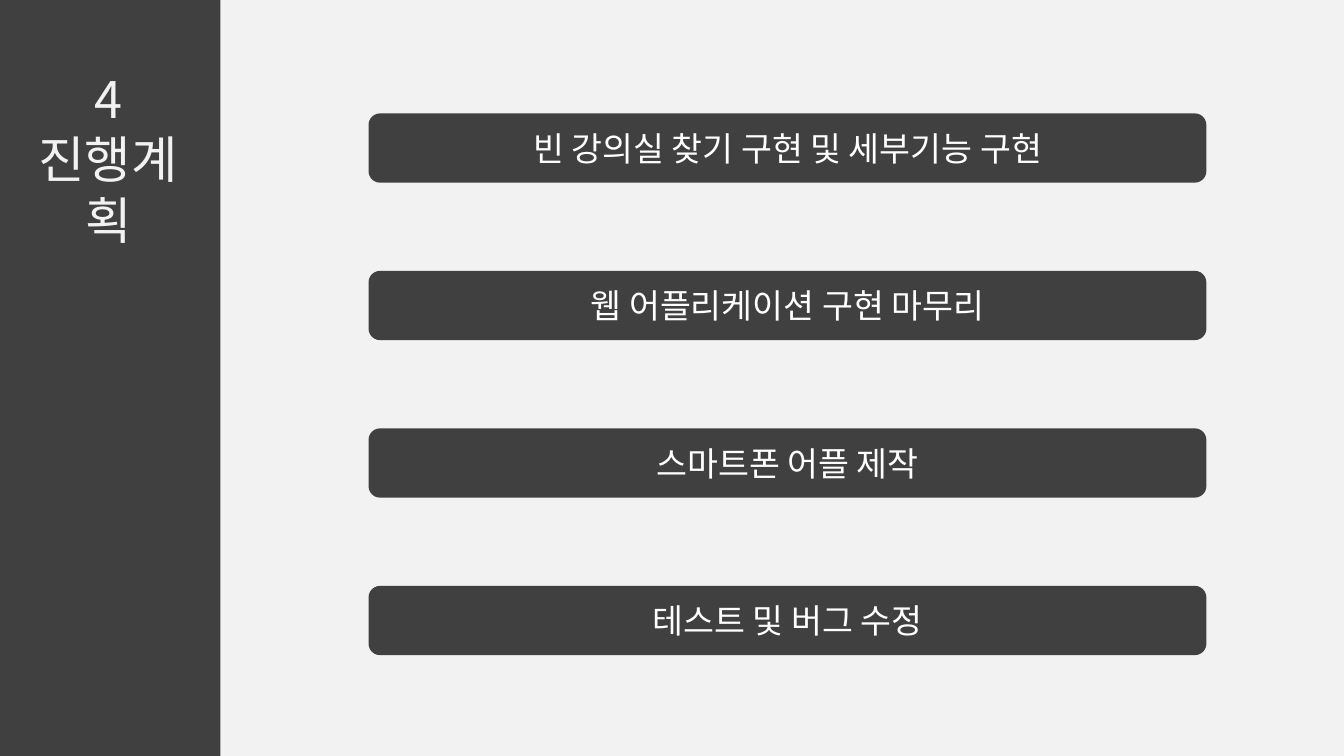
from dataclasses import dataclass

from lxml import etree
from pptx import Presentation
from pptx import util as u
from pptx.dml.color import RGBColor
from pptx.enum import shapes, text
from pptx.oxml import ns

EMU_PER_PX = 9525
PAGE_WIDTH, PAGE_HEIGHT = 1280, 720
FONT = "Noto Sans CJK KR"
DARK, LIGHT, WHITE = "404040", "F2F2F2", "FFFFFF"

BAR_LEFT, BAR_TOP, BAR_WIDTH, BAR_HEIGHT = 351, 108, 798, 66
BAR_PITCH = 150
STEPS = [
    "빈 강의실 찾기 구현 및 세부기능 구현",
    "웹 어플리케이션 구현 마무리",
    "스마트폰 어플 제작",
    "테스트 및 버그 수정",
]


@dataclass(frozen=True)
class Area:
    left: int
    top: int
    width: int
    height: int

    def emu(self) -> list[int]:
        return [px(n) for n in (self.left, self.top, self.width, self.height)]


@dataclass(frozen=True)
class Step:
    label: str
    area: Area


def px(length: int) -> int:
    return u.Emu(length * EMU_PER_PX)


def paint(fill, color: str) -> None:
    fill.solid()
    fill.fore_color.rgb = RGBColor.from_string(color)


def write(frame, lines: list[str], size: int, color: str) -> None:
    frame.word_wrap = True
    frame.text = "\n".join(lines)
    for para in frame.paragraphs:
        para.alignment = text.PP_ALIGN.CENTER
        para.font.size = u.Pt(size)
        para.font.name = FONT
        paint(para.font.fill, color)
        defaults = para._p.pPr.find(ns.qn("a:defRPr"))
        etree.SubElement(defaults, ns.qn("a:ea"), typeface=FONT)


def add_panel(page, kind: shapes.MSO_SHAPE, area: Area):
    panel = page.shapes.add_shape(kind, *area.emu())
    panel.shadow.inherit = False
    paint(panel.fill, DARK)
    panel.line.fill.background()
    return panel


def add_step(page, step: Step) -> None:
    bar = add_panel(page, shapes.MSO_SHAPE.ROUNDED_RECTANGLE, step.area)
    bar.text_frame.vertical_anchor = text.MSO_ANCHOR.MIDDLE
    write(bar.text_frame, [step.label], 24, WHITE)


def main() -> None:
    deck = Presentation()
    deck.slide_width, deck.slide_height = px(PAGE_WIDTH), px(PAGE_HEIGHT)
    page = deck.slides.add_slide(deck.slide_layouts[6])
    paint(page.background.fill, LIGHT)

    add_panel(page, shapes.MSO_SHAPE.RECTANGLE, Area(0, 0, 210, PAGE_HEIGHT))
    title = page.shapes.add_textbox(*Area(6, 60, 194, 126).emu())
    write(title.text_frame, ["4", "진행계획"], 36, LIGHT)

    for index, label in enumerate(STEPS):
        top = BAR_TOP + index * BAR_PITCH
        add_step(page, Step(label, Area(BAR_LEFT, top, BAR_WIDTH, BAR_HEIGHT)))

    deck.save("out.pptx")


if __name__ == "__main__":
    main()
